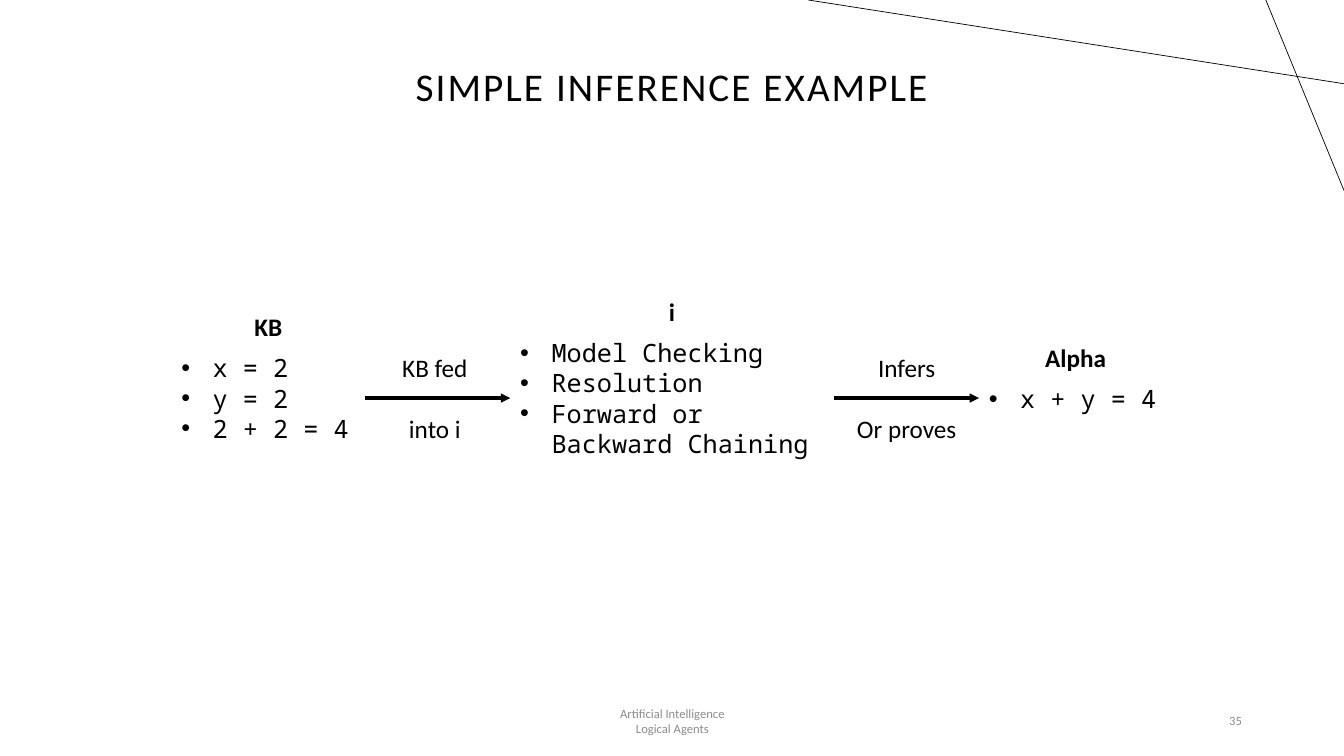
from lxml import etree
from pptx import Presentation
from pptx import util as u
from pptx.dml import color
from pptx.enum import shapes, text
from pptx.oxml import ns

BLACK = "000000"
GREY = "8C8C8C"
CENTRE = text.PP_ALIGN.CENTER
GAP = 3.66
HEADING_HEIGHT = 1.03
MIDDLE = 9.53
ARROW_Y = 10.03


def rgb(value):
    """Return a colour from a hex string."""
    return color.RGBColor.from_string(value)


def add_element(parent, tag, **attributes):
    """Append a DrawingML element to its parent."""
    return etree.SubElement(parent, ns.qn(tag), attributes)


def add_bullet(paragraph):
    """Give a paragraph a round bullet and a hanging indent."""
    properties = paragraph._p.get_or_add_pPr()
    indent = u.Cm(0.79)
    properties.set("marL", str(indent))
    properties.set("indent", str(-indent))
    add_element(properties, "a:buFont", typeface="Arial")
    add_element(properties, "a:buChar", char="•")


def add_text(slide, lines, left, top, width, height, size=18, font="Calibri",
             colour=BLACK, bold=False, align=None, anchor=text.MSO_ANCHOR.TOP,
             bullets=False, gap=0, line_spacing=None, tracking=None):
    """Add a wrapped text box with one paragraph per line."""
    box = slide.shapes.add_textbox(u.Cm(left), u.Cm(top), u.Cm(width), u.Cm(height))
    frame = box.text_frame
    frame.word_wrap = True
    frame.vertical_anchor = anchor
    for index, line in enumerate(lines):
        paragraph = frame.add_paragraph() if index else frame.paragraphs[0]
        if bullets:
            add_bullet(paragraph)
        paragraph.alignment = align
        paragraph.line_spacing = line_spacing
        if index and gap:
            paragraph.space_before = u.Pt(gap)
        run = paragraph.add_run()
        run.text = line
        run.font.size = u.Pt(size)
        run.font.name = font
        run.font.bold = bold
        run.font.color.rgb = rgb(colour)
        if tracking:
            run._r.get_or_add_rPr().set("spc", str(tracking))


def add_line(slide, start, end, weight, arrow=False):
    """Add a straight black line, with an arrowhead at its end if wanted."""
    points = [u.Cm(value) for value in (*start, *end)]
    line = slide.shapes.add_connector(shapes.MSO_CONNECTOR.STRAIGHT, *points)
    line.line.color.rgb = rgb(BLACK)
    line.line.width = u.Pt(weight)
    if arrow:
        add_element(line.line._get_or_add_ln(), "a:tailEnd", type="triangle")
    add_element(line._element.spPr, "a:effectLst")


def add_stage(slide, heading, items, left, width, body_height):
    """Add a bold heading above a bulleted list, centred on the middle line."""
    top = MIDDLE - (HEADING_HEIGHT + body_height) / 2
    add_text(slide, [heading], left, top, width, HEADING_HEIGHT, bold=True, align=CENTRE)
    add_text(slide, items, left, top + HEADING_HEIGHT, width, body_height,
             font="Noto Sans Mono", bullets=True)


def add_step(slide, labels, left, label_left):
    """Add an arrow with one label above it and one below."""
    add_line(slide, (left, ARROW_Y), (left + GAP, ARROW_Y), 2.25, arrow=True)
    add_text(slide, labels, label_left, 8.76, 3.18, 2.57, align=CENTRE, gap=22)


def main():
    """Build the slide and save it."""
    presentation = Presentation()
    presentation.slide_width = u.Cm(33.87)
    presentation.slide_height = u.Cm(19.05)
    slide = presentation.slides.add_slide(presentation.slide_layouts[6])

    add_line(slide, (33.87, 2.11), (20.37, 0), 0.5)
    add_line(slide, (31.9, 0), (33.87, 4.8), 0.5)

    middle = text.MSO_ANCHOR.MIDDLE
    add_text(slide, ["SIMPLE INFERENCE EXAMPLE"], 3.58, 1.07, 26.7, 2.36, size=28,
             align=CENTRE, anchor=middle, line_spacing=0.9, tracking=150)
    add_text(slide, ["Artificial Intelligence", "Logical Agents"], 11.23, 17.65,
             11.43, 1.02, size=9, colour=GREY, align=CENTRE, anchor=middle)
    add_text(slide, ["35"], 23.93, 17.65, 7.62, 1.02, size=9, colour=GREY,
             align=text.PP_ALIGN.RIGHT, anchor=middle)

    stages = [
        ("KB", ["x = 2", "y = 2", "2 + 2 = 4"], 4.88, 2.57),
        ("i", ["Model Checking", "Resolution", "Forward or Backward Chaining"], 8.15, 3.33),
        ("Alpha", ["x + y = 4"], 4.88, 1.02),
    ]
    steps = [(["KB fed", "into i"], 9.37), (["Infers", "Or proves"], 21.26)]
    left = 4.32
    rights = []
    for heading, items, width, body_height in stages:
        add_stage(slide, heading, items, left, width, body_height)
        rights.append(left + width)
        left += width + GAP
    for (labels, label_left), right in zip(steps, rights):
        add_step(slide, labels, right, label_left)

    presentation.save("out.pptx")


if __name__ == "__main__":
    main()
